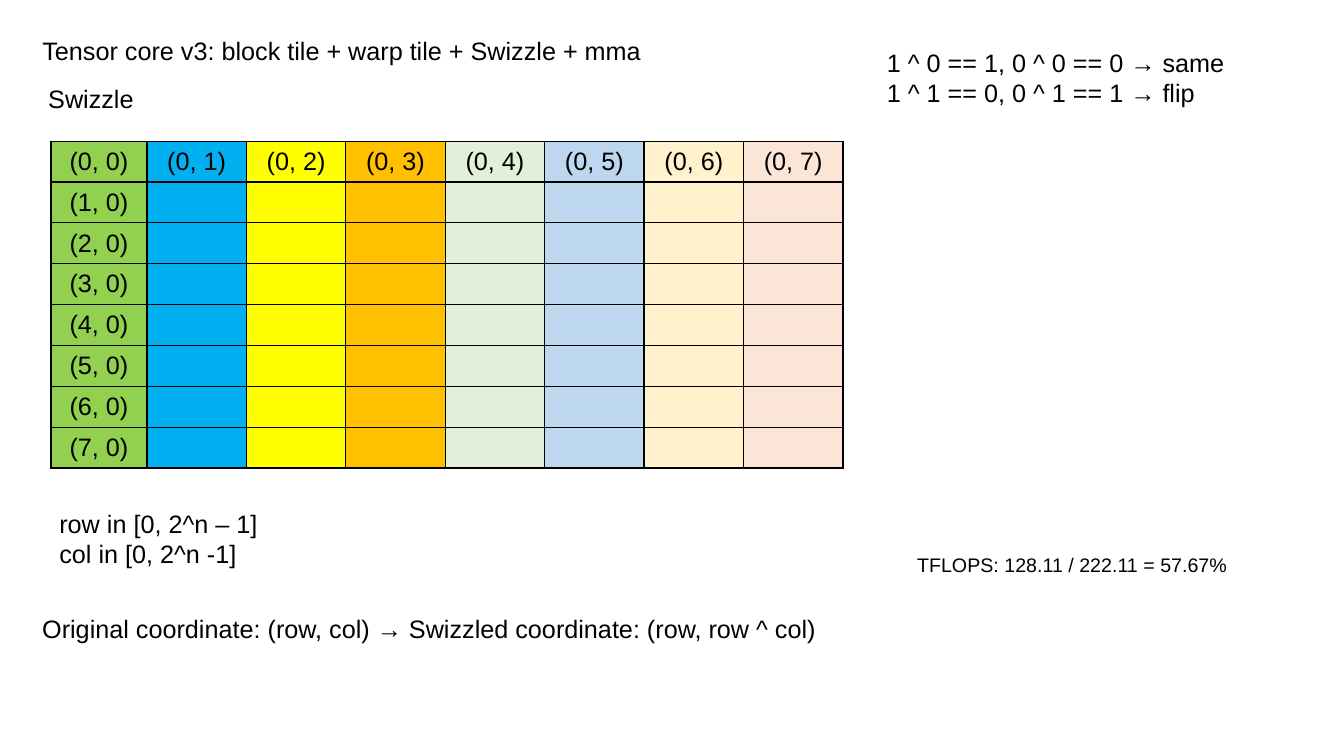
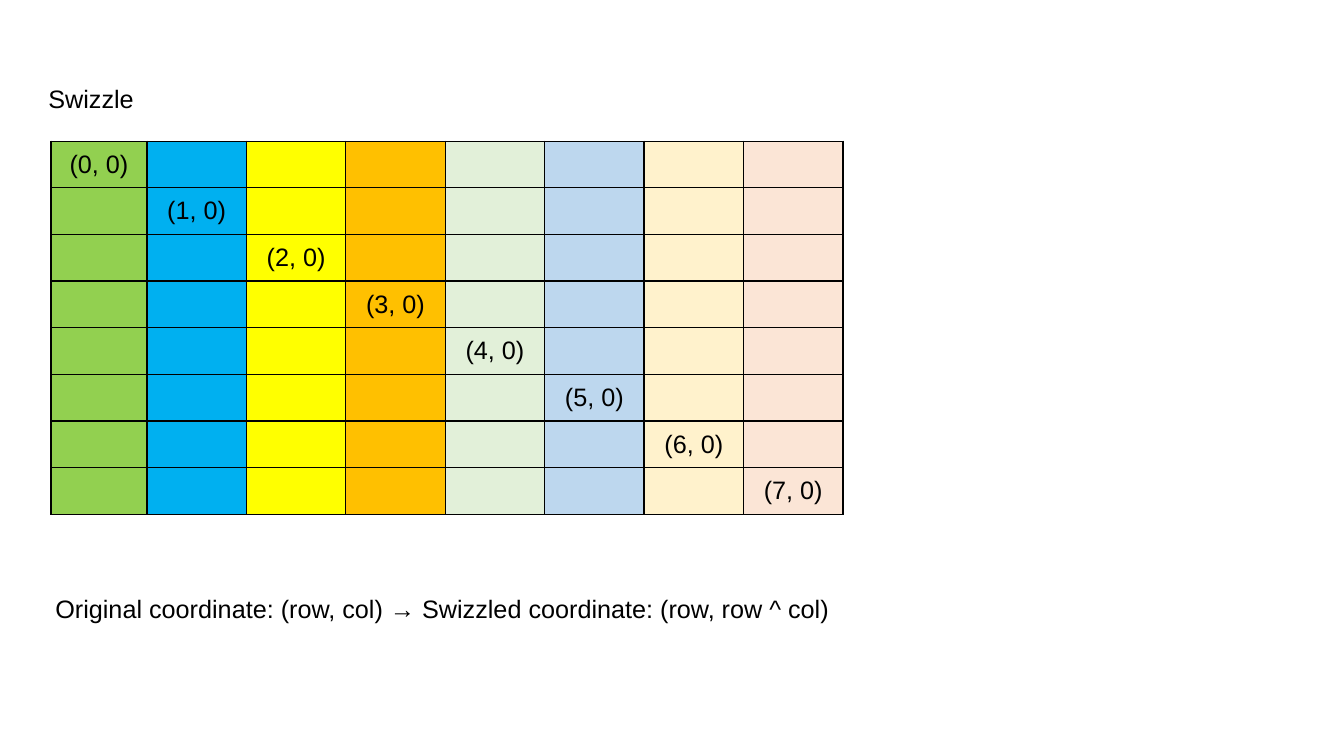
from lxml import etree
from pptx import Presentation
from pptx.dml.color import RGBColor
from pptx.enum.text import MSO_ANCHOR, MSO_AUTO_SIZE, PP_ALIGN
from pptx.oxml.ns import qn
from pptx.util import Inches, Pt

BLACK = RGBColor(0x00, 0x00, 0x00)
COLUMN_FILLS = [
    RGBColor(0x92, 0xD0, 0x50), RGBColor(0x00, 0xB0, 0xF0),
    RGBColor(0xFF, 0xFF, 0x00), RGBColor(0xFF, 0xC0, 0x00),
    RGBColor(0xE2, 0xF0, 0xD9), RGBColor(0xBD, 0xD7, 0xEE),
    RGBColor(0xFF, 0xF2, 0xCC), RGBColor(0xFB, 0xE5, 0xD6),
]
FONT = "Arial"
BODY, SMALL = 18, 14
N = len(COLUMN_FILLS)

prs = Presentation()
prs.slide_width, prs.slide_height = Inches(13.33), Inches(7.5)
# Positions are percentages of the slide's width and height.
COL, ROW = prs.slide_width / 100, prs.slide_height / 100
TABLE_LEFT, TABLE_TOP = 3.8, 18.67
FIRST_COL, OTHER_COL = 7.13, 7.4
LINE_H, TWO_LINES_H = 5.33, 9.47

SWIZZLE = "Swizzle"
SWIZZLE_AT = (2.85, 10.4, 78.6, LINE_H)
MAPPING = "Original coordinate: (row, col) → Swizzled coordinate: (row, row ^ col)"

# Each slide: title and its place, row height, labelled cells, text boxes.
SLIDES = [
    (
        "Tensor core v3: block tile + warp tile + Swizzle + mma",
        (2.4, 4, 78.6, LINE_H),
        5.4,
        {(i, j): f"({i}, {j})" for i in range(N) for j in range(N) if 0 in (i, j)},
        [
            ([SWIZZLE], SWIZZLE_AT, BODY),
            ([MAPPING], (2.4, 80.53, 60, LINE_H), BODY),
            (["row in [0, 2^n – 1]", "col in [0, 2^n -1]"],
             (3.68, 66.53, 19.9, TWO_LINES_H), BODY),
            (["TFLOPS: 128.11 / 222.11 = 57.67%"], (67.5, 72.53, 30, 4.53), SMALL),
            (["1 ^ 0 == 1, 0 ^ 0 == 0 → same", "1 ^ 1 == 0, 0 ^ 1 == 1 → flip"],
             (65.25, 5.6, 32.25, TWO_LINES_H), BODY),
        ],
    ),
    (
        SWIZZLE,
        SWIZZLE_AT,
        6.17,
        {(i, i): f"({i}, 0)" for i in range(N)},
        [([MAPPING], (3.38, 77.87, 60, LINE_H), BODY)],
    ),
]


def write(tf, lines, size=BODY, align=PP_ALIGN.LEFT):
    """Put one paragraph per line into a text frame."""
    for i, line in enumerate(lines):
        p = tf.add_paragraph() if i else tf.paragraphs[0]
        p.alignment = align
        r = p.add_run()
        r.text = line
        r.font.name, r.font.size, r.font.bold = FONT, Pt(size), False
        r.font.color.rgb = BLACK


def place(sp, left, top, width, height):
    """Position a text shape in percent of the slide, text at its top."""
    sp.left, sp.top = int(left * COL), int(top * ROW)
    sp.width, sp.height = int(width * COL), int(height * ROW)
    tf = sp.text_frame
    tf.word_wrap = True
    tf.auto_size = MSO_AUTO_SIZE.NONE
    tf.vertical_anchor = MSO_ANCHOR.TOP
    return tf


for title, title_at, row_height, labels, boxes in SLIDES:
    s = prs.slides.add_slide(prs.slide_layouts[5])
    write(place(s.shapes.title, *title_at), [title])

    frame = s.shapes.add_table(
        N, N, int(TABLE_LEFT * COL), int(TABLE_TOP * ROW),
        int((FIRST_COL + (N - 1) * OTHER_COL) * COL), int(N * row_height * ROW))
    table = frame.table
    table.first_row = table.horz_banding = False
    for j, column in enumerate(table.columns):
        column.width = int((OTHER_COL if j else FIRST_COL) * COL)
    for i, row in enumerate(table.rows):
        row.height = int(row_height * ROW)
        for j, cell in enumerate(row.cells):
            tcPr = cell._tc.get_or_add_tcPr()
            for side in ("a:lnL", "a:lnR", "a:lnT", "a:lnB"):
                ln = etree.SubElement(tcPr, qn(side), w=str(Pt(1)))
                fill = etree.SubElement(ln, qn("a:solidFill"))
                etree.SubElement(fill, qn("a:srgbClr"), val=str(BLACK))
            cell.fill.solid()
            cell.fill.fore_color.rgb = COLUMN_FILLS[j]
            cell.vertical_anchor = MSO_ANCHOR.MIDDLE
            if (i, j) in labels:
                write(cell.text_frame, [labels[i, j]], align=PP_ALIGN.CENTER)

    for lines, box_at, size in boxes:
        write(place(s.shapes.add_textbox(0, 0, 0, 0), *box_at), lines, size)

prs.save("out.pptx")
